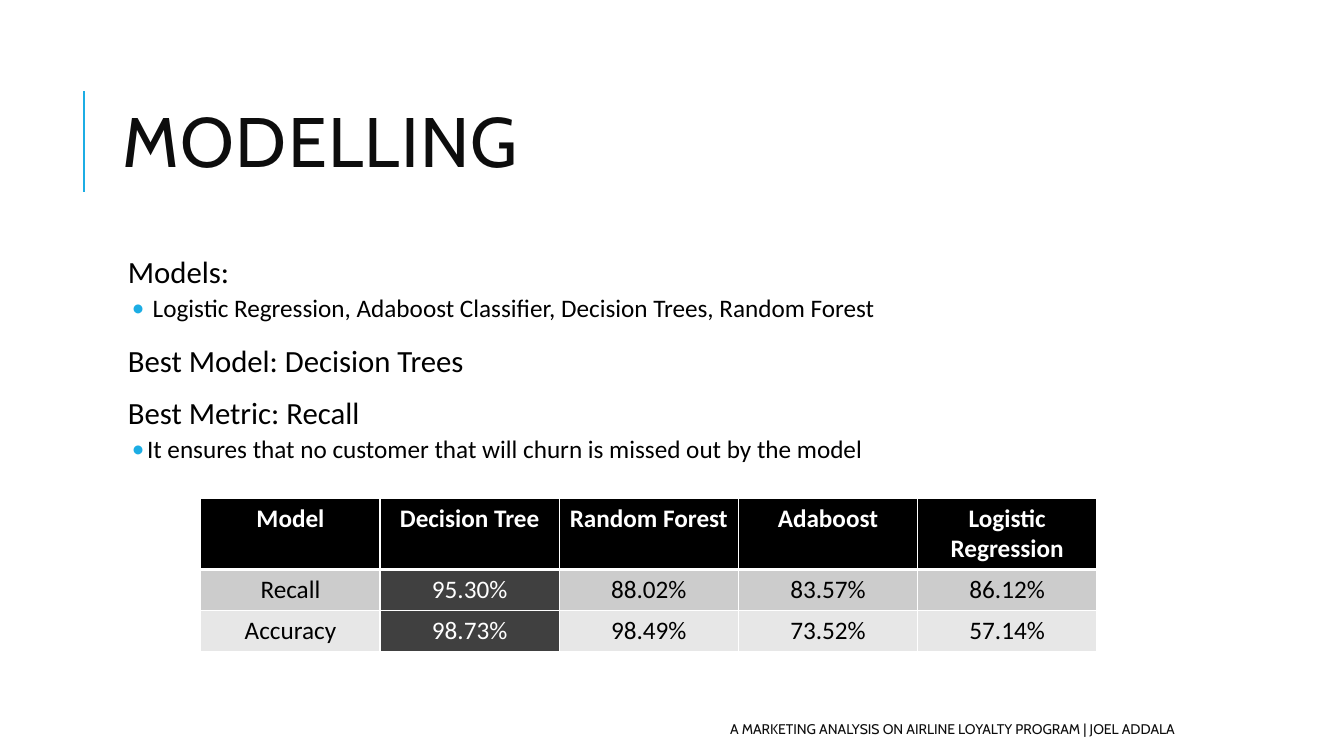
import pptx
import pptx.dml.color
import pptx.enum.shapes
import pptx.enum.text
import pptx.oxml.ns
import pptx.util
from lxml import etree

Pt = pptx.util.Pt
ALIGN = pptx.enum.text.PP_ALIGN
ANCHOR = pptx.enum.text.MSO_ANCHOR

COLORS = {
    "accent": "1CADE4",
    "heading": "0D0D0D",
    "black": "000000",
    "white": "FFFFFF",
    "highlight": "404040",
    "recall": "CCCCCC",
    "accuracy": "E7E7E7",
}
BODY = [
    ("Models:", 0),
    (" Logistic Regression, Adaboost Classifier, Decision Trees, Random Forest", 1),
    ("Best Model: Decision Trees", 0),
    ("Best Metric: Recall", 0),
    ("It ensures that no customer that will churn is missed out by the model", 1),
]
SCORES = [
    ["Model", "Decision Tree", "Random Forest", "Adaboost", "Logistic Regression"],
    ["Recall", "95.30%", "88.02%", "83.57%", "86.12%"],
    ["Accuracy", "98.73%", "98.49%", "73.52%", "57.14%"],
]
ROW_FILLS = ["black", "recall", "accuracy"]
ROW_HEIGHTS = [51, 29.2, 29.2]
COLUMN_WIDTH = 128
BEST_COLUMN = 1


def rgb(name):
    return pptx.dml.color.RGBColor.from_string(COLORS[name])


def add_xml(parent, tag, **attributes):
    return etree.SubElement(parent, pptx.oxml.ns.qn(tag), attributes)


def format_para(para, font, size, color, align=ALIGN.LEFT, bold=False):
    para.alignment = align
    for span in para.runs:
        span.font.name = font
        span.font.size = Pt(size)
        span.font.bold = bold
        span.font.color.rgb = rgb(color)


def place(box, left, top, width, height):
    box.left, box.top = Pt(left), Pt(top)
    box.width, box.height = Pt(width), Pt(height)


def add_title(page, text):
    title = page.shapes.title
    place(title, 80.6, 46, 765.4, 118)
    frame = title.text_frame
    frame.text = text
    frame.auto_size = pptx.enum.text.MSO_AUTO_SIZE.NONE
    frame.vertical_anchor = ANCHOR.MIDDLE
    para = frame.paragraphs[0]
    para.line_spacing = 0.8
    format_para(para, "Cabin", 50, "heading")
    para.runs[0].font._element.set("spc", "100")


def add_accent_line(page):
    line = page.shapes.add_connector(
        pptx.enum.shapes.MSO_CONNECTOR.STRAIGHT, Pt(60), Pt(137), Pt(60), Pt(65)
    )
    line.line.color.rgb = rgb("accent")
    line.line.width = Pt(1.5)
    add_xml(line._element.spPr, "a:effectLst")


def set_indent(para, left, hanging):
    properties = para._p.get_or_add_pPr()
    properties.set("marL", str(Pt(left)))
    properties.set("indent", str(-Pt(hanging)))
    return properties


def add_body(page):
    box = page.shapes.add_textbox(Pt(80.6), Pt(180), Pt(765.4), Pt(317))
    frame = box.text_frame
    frame.word_wrap = True
    frame.margin_left = frame.margin_right = Pt(3.6)
    frame.text = "\n".join(text for text, level in BODY)
    for para, (text, level) in zip(frame.paragraphs, BODY):
        para.level = level
        para.line_spacing = 0.9
        para.space_before = Pt(2 if level else 12)
        para.space_after = Pt(4 if level else 2)
        format_para(para, "Calibri", 18 if level else 22, "black")
        if level:
            properties = set_indent(para, 20.9, 10.8)
            bullet_color = add_xml(properties, "a:buClr")
            add_xml(bullet_color, "a:srgbClr", val=COLORS["accent"])
            add_xml(properties, "a:buFont", typeface="Calibri")
            add_xml(properties, "a:buChar", char="•")
        else:
            set_indent(para, 7.2, 0)


def add_borders(cell, top, bottom):
    properties = cell._tc.get_or_add_tcPr()
    for side, width in (("L", 1), ("R", 1), ("T", top), ("B", bottom)):
        border = add_xml(properties, "a:ln" + side, w=str(Pt(width)))
        fill = add_xml(border, "a:solidFill")
        add_xml(fill, "a:srgbClr", val=COLORS["white"])


def add_score_table(page):
    rows, columns = len(SCORES), len(SCORES[0])
    table = page.shapes.add_table(
        rows, columns, Pt(143.5), Pt(355.7),
        Pt(COLUMN_WIDTH * columns), Pt(sum(ROW_HEIGHTS)),
    ).table
    for column in table.columns:
        column.width = Pt(COLUMN_WIDTH)
    for row, values in enumerate(SCORES):
        table.rows[row].height = Pt(ROW_HEIGHTS[row])
        header = row == 0
        for column, value in enumerate(values):
            cell = table.cell(row, column)
            best = column == BEST_COLUMN and not header
            cell.text_frame.text = value
            color = "white" if header or best else "black"
            format_para(cell.text_frame.paragraphs[0], "Calibri", 18, color,
                        ALIGN.CENTER, header)
            add_borders(cell, 3 if row == 1 else 1, 3 if header else 1)
            cell.fill.solid()
            cell.fill.fore_color.rgb = rgb("highlight" if best else ROW_FILLS[row])


def add_footer(page, text):
    box = page.shapes.add_textbox(Pt(381.6), Pt(509.8), Pt(464.4), Pt(21.6))
    frame = box.text_frame
    frame.word_wrap = True
    frame.vertical_anchor = ANCHOR.MIDDLE
    frame.text = text
    format_para(frame.paragraphs[0], "Cabin", 10, "heading", ALIGN.RIGHT)


def main():
    deck = pptx.Presentation()
    deck.slide_width, deck.slide_height = Pt(960), Pt(540)
    page = deck.slides.add_slide(deck.slide_layouts.get_by_name("Title Only"))
    add_accent_line(page)
    add_title(page, "MODELLING")
    add_body(page)
    add_score_table(page)
    add_footer(page, "A MARKETING ANALYSIS ON AIRLINE LOYALTY PROGRAM | JOEL ADDALA")
    deck.save("out.pptx")


if __name__ == "__main__":
    main()
